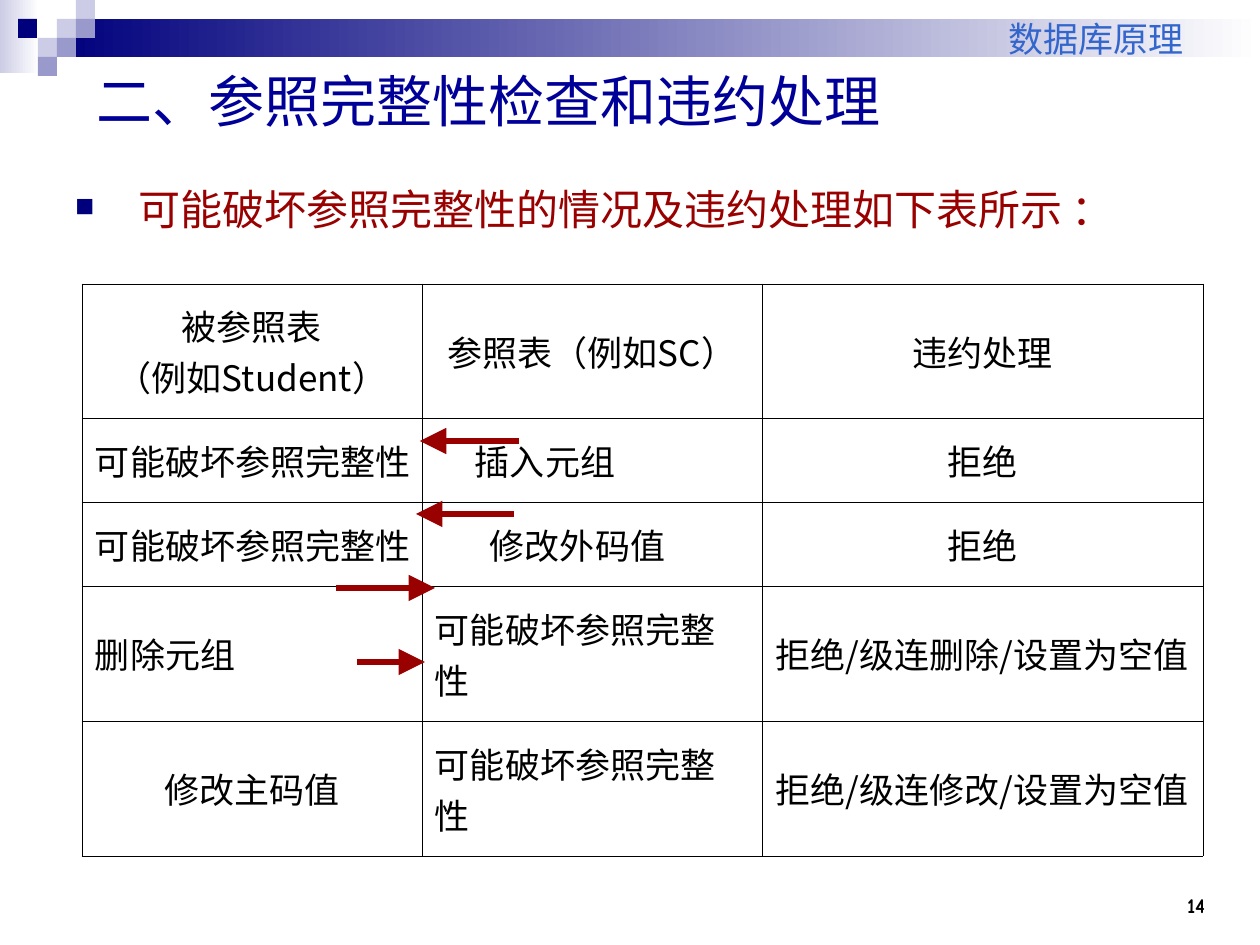
from typing import NamedTuple

from lxml import etree
from pptx import Presentation
from pptx.dml.color import RGBColor
from pptx.enum.shapes import MSO_CONNECTOR, MSO_SHAPE
from pptx.enum.text import MSO_ANCHOR, PP_ALIGN
from pptx.oxml.ns import qn
from pptx.util import Emu, Pt

LEFT, CENTER, RIGHT = PP_ALIGN.LEFT, PP_ALIGN.CENTER, PP_ALIGN.RIGHT
TOP, MIDDLE, BOTTOM = MSO_ANCHOR.TOP, MSO_ANCHOR.MIDDLE, MSO_ANCHOR.BOTTOM
RECTANGLE = MSO_SHAPE.RECTANGLE
STRAIGHT = MSO_CONNECTOR.STRAIGHT

EMU_PER_PX = 914400 / 126
INSET = 13
SQUARE = 19
COLORS = {
    "navy": "00007D", "lavender": "CCCCE6", "violet": "9999CC", "white": "FFFFFF",
    "black": "000000", "course": "3366CC", "title": "000099", "red": "990000",
}


class Block(NamedTuple):
    left: int
    top: int
    width: int
    height: int
    color: str
    fades: bool = False


class Label(NamedTuple):
    text: str
    left: int
    top: int
    width: int
    height: int
    size: int
    color: str
    font: str = "Comic Neue"
    align: PP_ALIGN = LEFT
    anchor: MSO_ANCHOR = BOTTOM
    bold: bool = False
    right_inset: int = INSET


class Entry(NamedTuple):
    text: str
    align: PP_ALIGN = CENTER
    left_inset: int = INSET
    right_inset: int = INSET


class Arrow(NamedTuple):
    start: int
    end: int
    y: int


BANNER = [
    Block(0, 0, 39, 73, "lavender", True),
    Block(57, 19, 1203, 38, "navy", True),
    *(Block(left, top, SQUARE, SQUARE, color) for left, top, color in [
        (57, 19, "lavender"), (76, 0, "lavender"), (76, 19, "violet"),
        (38, 38, "lavender"), (18, 19, "navy"), (57, 38, "violet"), (38, 57, "violet"),
    ]),
]
PAGE_NUMBER = Label("14", 1113, 861, 105, 63, 12, "black", align=RIGHT, bold=True)
COURSE = Label("数据库原理", 483, 0, 746, 66, 20, "course", align=RIGHT, right_inset=45)
TITLE = Label("二、参照完整性检查和违约处理", 84, 53, 1134, 95, 32, "title", anchor=MIDDLE)
INTRO = Label("可能破坏参照完整性的情况及违约处理如下表所示 ：", 63, 147, 1155, 735, 24,
              "red", font="Courier New", anchor=TOP)

AT_RISK = Entry("可能破坏参照完整性", LEFT)
AT_RISK_ONE_LINE = AT_RISK._replace(right_inset=4)
REJECT = Entry("拒绝")
VIOLATIONS = [
    [Entry("被参照表\n（例如Student）"), Entry("参照表（例如SC）"), Entry("违约处理")],
    [AT_RISK_ONE_LINE, Entry("插入元组", LEFT, 53), REJECT],
    [AT_RISK_ONE_LINE, Entry("修改外码值", LEFT, 68), REJECT],
    [Entry("删除元组", LEFT), AT_RISK, Entry("拒绝/级连删除/设置为空值")],
    [Entry("修改主码值"), AT_RISK, Entry("拒绝/级连修改/设置为空值")],
]
COLUMN_WIDTHS = [340, 340, 441]
ROW_HEIGHTS = [134, 84, 84, 135, 135]
ARROWS = [Arrow(519, 420, 441), Arrow(514, 416, 514), Arrow(336, 435, 588), Arrow(357, 425, 662)]


def px(length: int) -> Emu:
    """Turn pixels into EMU."""
    return Emu(round(length * EMU_PER_PX))


def rgb(name: str) -> RGBColor:
    """Look up a named colour."""
    return RGBColor.from_string(COLORS[name])


def add_child(parent, tag: str, **attributes: str):
    """Append a DrawingML element."""
    return etree.SubElement(parent, qn(tag), attributes)


def style_paragraph(paragraph, align: PP_ALIGN, size: int, color: str, font: str, bold: bool = False) -> None:
    """Align a paragraph and format its runs."""
    paragraph.alignment = align
    for run in paragraph.runs:
        run.font.size = Pt(size)
        run.font.name = font
        run.font.bold = bold
        run.font.color.rgb = rgb(color)


def draw_block(slide, block: Block) -> None:
    """Draw one solid or fading banner rectangle."""
    shape = slide.shapes.add_shape(RECTANGLE, *map(px, block[:4]))
    shape.shadow.inherit = False
    shape.line.fill.background()
    if block.fades:
        shape.fill.gradient()
        shape.fill.gradient_angle = 0
        for stop, color in zip(shape.fill.gradient_stops, (block.color, "white")):
            stop.color.rgb = rgb(color)
    else:
        shape.fill.solid()
        shape.fill.fore_color.rgb = rgb(block.color)


def draw_label(slide, label: Label):
    """Draw a text box and return its paragraph."""
    frame = slide.shapes.add_textbox(*map(px, label[1:5])).text_frame
    frame.word_wrap = True
    frame.vertical_anchor = label.anchor
    frame.margin_right = px(label.right_inset)
    frame.text = label.text
    paragraph = frame.paragraphs[0]
    style_paragraph(paragraph, label.align, label.size, label.color, label.font, label.bold)
    return paragraph


def add_bullet(paragraph) -> None:
    """Give a paragraph a hanging square bullet."""
    properties = paragraph._p.get_or_add_pPr()
    properties.set("marL", str(px(63)))
    properties.set("indent", str(px(-63)))
    add_child(add_child(properties, "a:buClr"), "a:srgbClr", val=COLORS["navy"])
    add_child(properties, "a:buSzPct", val="75000")
    add_child(properties, "a:buFont", typeface="Courier New")
    add_child(properties, "a:buChar", char="■")


def fill_cell(cell, entry: Entry) -> None:
    """Write and border one table cell."""
    cell.text = entry.text
    cell.vertical_anchor = MIDDLE
    cell.margin_left = px(entry.left_inset)
    cell.margin_right = px(entry.right_inset)
    for paragraph in cell.text_frame.paragraphs:
        style_paragraph(paragraph, entry.align, 20, "black", "Noto Sans CJK SC")
    properties = cell._tc.get_or_add_tcPr()
    for side in "LRTB":
        border = add_child(properties, f"a:ln{side}", w=str(Pt(0.45)))
        add_child(add_child(border, "a:solidFill"), "a:srgbClr", val=COLORS["black"])
    cell.fill.background()


def draw_table(slide) -> None:
    """Draw the table of violations and their handling."""
    table = slide.shapes.add_table(
        len(ROW_HEIGHTS), len(COLUMN_WIDTHS), px(82), px(284),
        px(sum(COLUMN_WIDTHS)), px(sum(ROW_HEIGHTS))).table
    table.first_row = table.horz_banding = False
    for column, width in zip(table.columns, COLUMN_WIDTHS):
        column.width = px(width)
    for row, height, entries in zip(table.rows, ROW_HEIGHTS, VIOLATIONS):
        row.height = px(height)
        for cell, entry in zip(row.cells, entries):
            fill_cell(cell, entry)


def draw_arrow(slide, arrow: Arrow) -> None:
    """Draw a horizontal arrow between table columns."""
    connector = slide.shapes.add_connector(
        STRAIGHT, px(arrow.start), px(arrow.y), px(arrow.end), px(arrow.y))
    connector.line.color.rgb = rgb("red")
    connector.line.width = Pt(3)
    add_child(connector.line._get_or_add_ln(), "a:tailEnd", type="triangle", w="lg", len="lg")
    add_child(connector._element.spPr, "a:effectLst")


def main() -> None:
    """Build and save the slide."""
    presentation = Presentation()
    presentation.slide_width, presentation.slide_height = px(1260), px(945)
    slide = presentation.slides.add_slide(presentation.slide_layouts[6])
    for block in BANNER:
        draw_block(slide, block)
    for label in (PAGE_NUMBER, COURSE, TITLE):
        draw_label(slide, label)
    intro = draw_label(slide, INTRO)
    add_bullet(intro)
    intro.line_spacing = 1.6
    draw_table(slide)
    for arrow in ARROWS:
        draw_arrow(slide, arrow)
    presentation.save("out.pptx")


if __name__ == "__main__":
    main()
